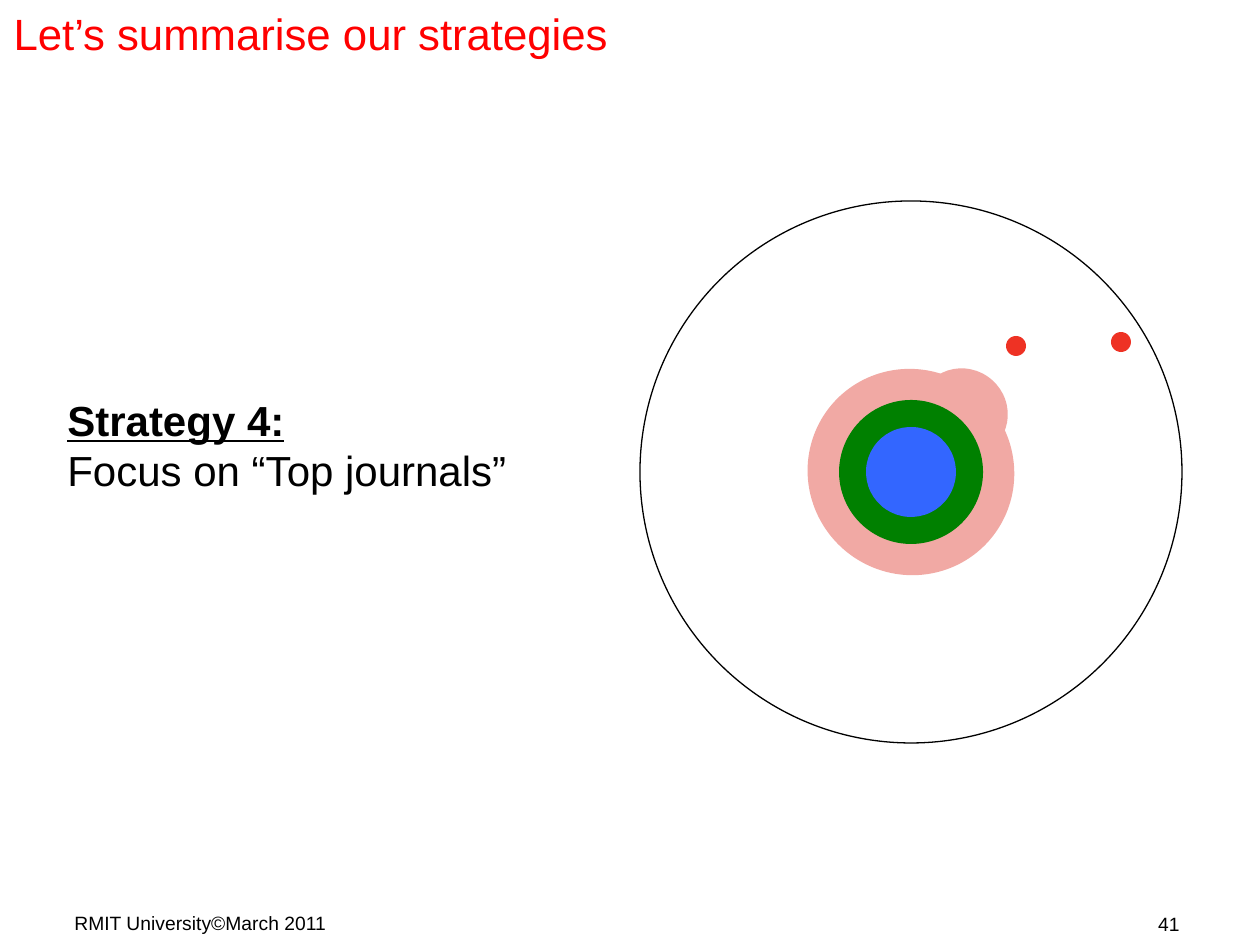
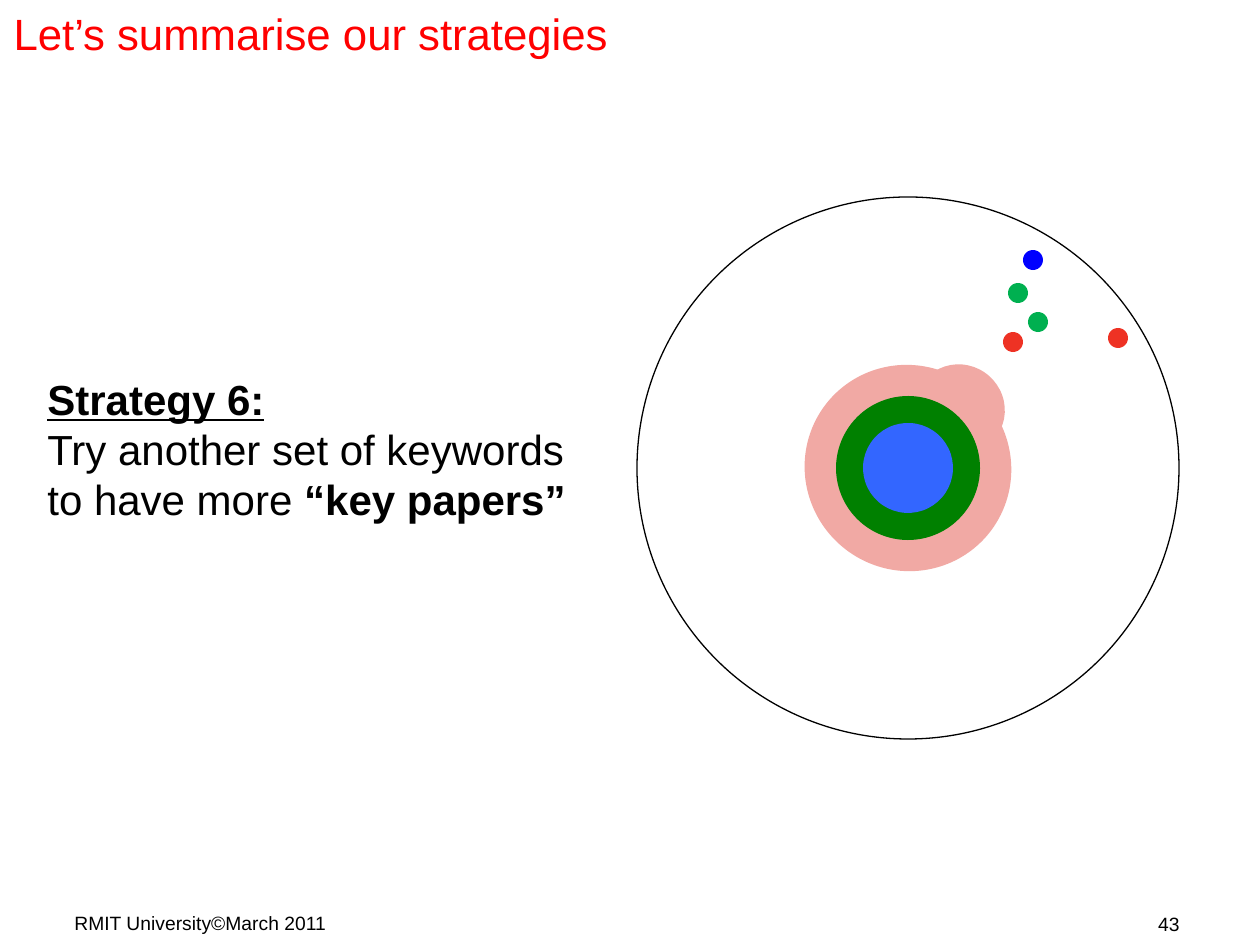
"""Builds two slides that sum up search strategies with a target diagram."""
from pptx import Presentation
from pptx import util as u
from pptx.dml.color import RGBColor
from pptx.enum import shapes, text

HUES = {"black": "000000", "white": "FFFFFF", "title": "FF0000", "pink": "F1A9A4",
        "green": "008000", "sky": "3366FF", "red": "EE3224", "leaf": "00B050",
        "blue": "0000FF"}
FONT = "Arial"
PX = 914400 / 126
TITLE = "Let’s summarise our strategies"
FOOTER = "RMIT University©March 2011"
DOT = 20

# {dx, dy} from the diagram centre, then width, height, fill
RINGS = [(52, -59, 91, 88, "pink"), (0, 0, 542, 542, None), (0, 0, 208, 205, "pink"),
         (0, 0, 144, 144, "green"), (0, 0, 90, 90, "sky")]
REDS = [(210, -130, "red"), (105, -126, "red")]
MORE = [(130, -146, "leaf"), (110, -175, "leaf"), (125, -208, "blue")]

SLIDES = [
    {"page": "41", "mid": (911, 472), "dots": REDS, "box": (55, 388, 515, 115),
     "head": "Strategy 4:", "lines": [[("Focus on “Top journals”", False)]]},
    {"page": "43", "mid": (908, 468), "dots": REDS + MORE, "box": (35, 367, 595, 165),
     "head": "Strategy 6:",
     "lines": [[("Try another set of keywords", False)],
               [("to have more ", False), ("“key papers”", True)]]},
]


def emu(*nums):
    return [u.Emu(round(n * PX)) for n in nums]


def rgb(name):
    return RGBColor.from_string(HUES[name])


def style(para, size, hue="black", align=text.PP_ALIGN.LEFT):
    para.alignment = align
    font = para.font
    font.name, font.size, font.color.rgb = FONT, u.Pt(size), rgb(hue)


def add_title(slide):
    title = slide.shapes.title
    title.left, title.top, title.width, title.height = emu(1, 0, 1022, 66)
    frame = title.text_frame
    frame.text = TITLE
    frame.vertical_anchor = text.MSO_ANCHOR.TOP
    frame.auto_size = text.MSO_AUTO_SIZE.NONE
    style(frame.paragraphs[0], 25, "title")


def add_note(slide, words, left, top, align):
    frame = slide.shapes.add_textbox(*emu(left, top, 294, 30)).text_frame
    frame.word_wrap = True
    frame.text = words
    style(frame.paragraphs[0], 11, align=align)


def add_shape(slide, kind, box, fill):
    shape = slide.shapes.add_shape(kind, *emu(*box))
    shape.shadow.inherit = False
    if fill:
        shape.fill.solid()
        shape.fill.fore_color.rgb = rgb(fill)
        shape.line.fill.background()
    else:
        shape.fill.background()
        shape.line.color.rgb = rgb("black")
        shape.line.width = u.Pt(0.75)
    return shape


def add_target(slide, mid, dots):
    discs = RINGS + [(dx, dy, DOT, DOT, fill) for dx, dy, fill in dots]
    for dx, dy, wide, high, fill in discs:
        box = mid[0] + dx - wide / 2, mid[1] + dy - high / 2, wide, high
        disc = add_shape(slide, shapes.MSO_SHAPE.OVAL, box, fill)
        if (dx, dy, fill) not in dots:
            disc.rotation = 41.4


def add_plan(slide, box, head, lines):
    frame = add_shape(slide, shapes.MSO_SHAPE.RECTANGLE, box, "white").text_frame
    frame.word_wrap = True
    frame.vertical_anchor = text.MSO_ANCHOR.TOP
    frame.auto_size = text.MSO_AUTO_SIZE.SHAPE_TO_FIT_TEXT
    para = frame.paragraphs[0]
    para.text = head
    style(para, 24)
    para.font.bold = para.font.underline = True
    for line in lines:
        para = frame.add_paragraph()
        style(para, 24)
        for words, bold in line:
            run = para.add_run()
            run.text, run.font.bold = words, bold


def main():
    deck = Presentation()
    deck.slide_width, deck.slide_height = emu(1260, 945)
    for item in SLIDES:
        slide = deck.slides.add_slide(deck.slide_layouts[5])
        add_title(slide)
        add_note(slide, FOOTER, 62, 905, text.PP_ALIGN.LEFT)
        add_note(slide, item["page"], 898, 906, text.PP_ALIGN.RIGHT)
        add_target(slide, item["mid"], item["dots"])
        add_plan(slide, item["box"], item["head"], item["lines"])
    deck.save("out.pptx")


if __name__ == "__main__":
    main()
